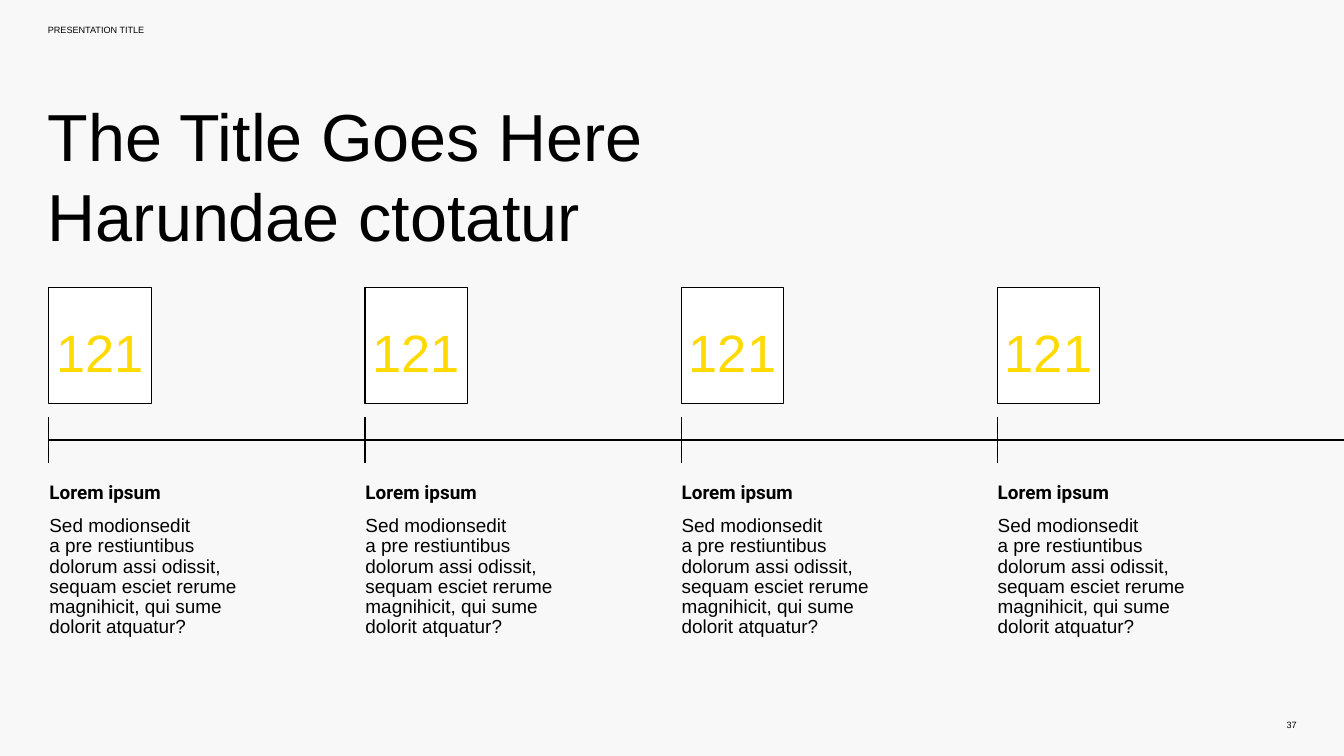
from lxml import etree
from pptx import Presentation
from pptx.dml.color import RGBColor
from pptx.enum import shapes as sh, text as tx
from pptx.oxml.ns import qn
from pptx.util import Inches, Pt

# Content
TAG = "PRESENTATION TITLE"
PAGE = "37"
TITLE = "The Title Goes Here\vHarundae ctotatur"
BODY = ("Sed modionsedit\va pre restiuntibus\vdolorum assi odissit,\v"
        "sequam esciet rerume magnihicit, qui sume dolorit atquatur?")
STEPS = [("121", "Lorem ipsum", BODY)] * 4

COLORS = {"back": "F8F8F8", "ink": "000000", "card": "FFFFFF", "num": "FFDA00"}

# Layout in inches
WIDTH, HEIGHT = 26.66, 15
LEFT, STEP = 0.97, 6.27
AXIS, TICK = 8.73, 0.91
CARD_TOP, CARD_W, CARD_H = 5.71, 2.04, 2.3
TEXT_W = 4.05


def color(name):
    return RGBColor.from_string(COLORS[name])


def write(shape, words, size, font="Arial", ink="ink", bold=False, space=1.0,
          align=tx.PP_ALIGN.LEFT, anchor=tx.MSO_ANCHOR.TOP, inset=0):
    frame = shape.text_frame
    frame.word_wrap = True
    frame.auto_size = tx.MSO_AUTO_SIZE.NONE
    frame.vertical_anchor = anchor
    frame.margin_left = frame.margin_right = frame.margin_bottom = 0
    frame.margin_top = Inches(inset)
    para = frame.paragraphs[0]
    para.text = words
    para.alignment = align
    para.line_spacing = space
    para.space_before = Pt(0)
    para.font.name = font
    para.font.size = Pt(size)
    para.font.bold = bold
    para.font.color.rgb = color(ink)


def label(slide, box, words, size, **style):
    write(slide.shapes.add_textbox(*map(Inches, box)), words, size, **style)


def rule(slide, x1, y1, x2, y2):
    line = slide.shapes.add_connector(
        sh.MSO_CONNECTOR.STRAIGHT, *map(Inches, (x1, y1, x2, y2)))
    line.line.color.rgb = color("ink")
    line.line.width = Pt(1.5)
    etree.SubElement(line._element.spPr, qn("a:effectLst"))


def card(slide, x, words):
    box = slide.shapes.add_shape(
        sh.MSO_SHAPE.RECTANGLE, *map(Inches, (x, CARD_TOP, CARD_W, CARD_H)))
    box.shadow.inherit = False
    box.fill.solid()
    box.fill.fore_color.rgb = color("card")
    box.line.color.rgb = color("ink")
    box.line.width = Pt(1.5)
    write(box, words, 75, ink="num", space=1.17, inset=0.43,
          align=tx.PP_ALIGN.CENTER)


def main():
    deck = Presentation()
    deck.slide_width, deck.slide_height = Inches(WIDTH), Inches(HEIGHT)
    slide = deck.slides.add_slide(deck.slide_layouts[5])
    slide.background.fill.solid()
    slide.background.fill.fore_color.rgb = color("back")

    # Title
    title = slide.shapes.title
    title.left, title.top, title.width, title.height = map(
        Inches, (0.95, 1.89, 19.69, 3.82))
    write(title, TITLE, 95)

    # Header and page number
    label(slide, (0.95, 0.49, 9, 0.47), TAG, 13)
    label(slide, (24.59, 14.18, 1.13, 0.42), PAGE, 13,
          align=tx.PP_ALIGN.RIGHT, anchor=tx.MSO_ANCHOR.MIDDLE)

    # Timeline
    rule(slide, LEFT, AXIS, WIDTH, AXIS)
    for i, (num, head, body) in enumerate(STEPS):
        x = LEFT + i * STEP
        rule(slide, x, AXIS - TICK / 2, x, AXIS + TICK / 2)
        card(slide, x, num)
        label(slide, (x + 0.01, 9.5, TEXT_W, 0.54), head, 27,
              font="Roboto", bold=True, space=1.08)
        label(slide, (x + 0.01, 10.25, TEXT_W, 2.37), body, 27, space=0.89)

    deck.save("out.pptx")


if __name__ == "__main__":
    main()
